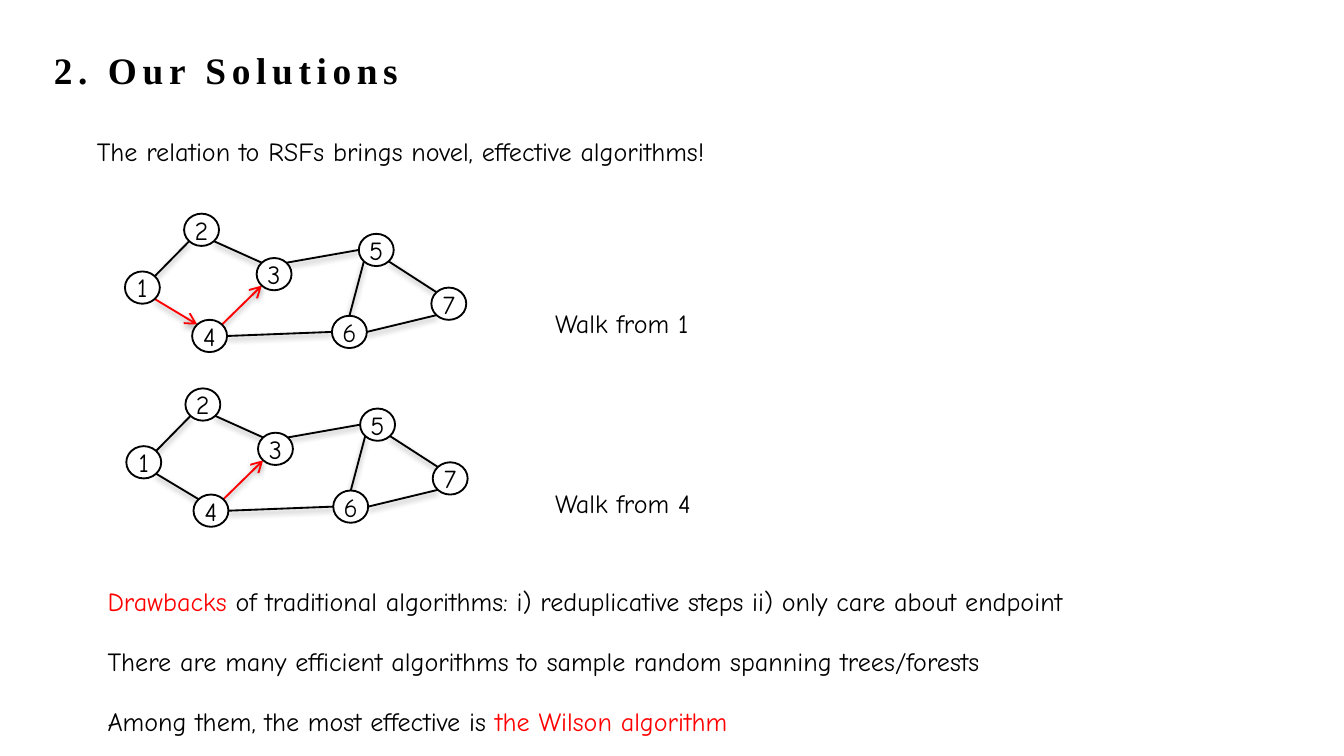
from pptx import Presentation
from pptx.dml.color import RGBColor
from pptx.enum.shapes import MSO_CONNECTOR, MSO_SHAPE
from pptx.enum.text import MSO_ANCHOR, MSO_AUTO_SIZE, PP_ALIGN
from pptx.oxml import parse_xml
from pptx.oxml.ns import nsdecls
from pptx.util import Inches, Pt

COLORS = {"black": "000000", "white": "FFFFFF", "red": "FF0000"}
BODY_FONT, TITLE_FONT = "Comic Neue", "Times New Roman"

# Content
TITLE = "2. Our Solutions"
# left, top, width, runs of (text, color)
TEXTS = [
    (0.67, 0.96, 6.08, [("The relation to RSFs brings novel, effective algorithms!", "black")]),
    (4.08, 2.24, 1.39, [("Walk from 1", "black")]),
    (4.08, 3.58, 1.39, [("Walk from 4", "black")]),
    (0.75, 4.31, 8.12, [
        ("Drawbacks", "red"),
        (" of traditional algorithms: i) reduplicative steps ii) only care about endpoint", "black")]),
    (0.75, 4.75, 7.65, [
        ("There are many efficient algorithms to sample random spanning trees/forests", "black")]),
    (0.75, 5.2, 7.65, [
        ("Among them, the most effective is ", "black"), ("the Wilson algorithm", "red")]),
]

# Graph: node label -> left, top; edges join sides of two nodes
NODE_W, NODE_H = 0.26, 0.24
NODES = {
    "2": (1.37, 1.59), "1": (0.93, 2.02), "4": (1.43, 2.38), "3": (1.91, 1.92),
    "6": (2.47, 2.35), "5": (2.67, 1.74), "7": (3.21, 2.14),
}
EDGES = [
    ("2", "SW", "1", "NE"), ("1", "SE", "4", "NW"), ("2", "SE", "3", "NW"),
    ("4", "NE", "3", "SW"), ("3", "NE", "5", "W"), ("5", "SW", "6", "N"),
    ("5", "SE", "7", "NW"), ("4", "E", "6", "W"), ("6", "E", "7", "SW"),
]
# Offset of each graph and the edges walked in it
GRAPHS = [
    ((0, 0), {("1", "4"), ("4", "3")}),
    ((0.01, 1.3), {("4", "3")}),
]


def rgb(name):
    return RGBColor.from_string(COLORS[name])


def style_run(r, color, font=BODY_FONT, size=14):
    r.font.name = font
    r.font.size = Pt(size)
    r.font.color.rgb = rgb(color)


def set_insets(tf, inset):
    tf.margin_left = tf.margin_right = tf.margin_top = tf.margin_bottom = Inches(inset)


def node_site(label, side, offset):
    """Point on a node's outline at a compass side."""
    left, top = NODES[label]
    reach = 0.71 if len(side) == 2 else 1
    dx = ("E" in side) - ("W" in side)
    dy = ("S" in side) - ("N" in side)
    return (Inches(left + offset[0] + NODE_W / 2 * (1 + reach * dx)),
            Inches(top + offset[1] + NODE_H / 2 * (1 + reach * dy)))


def add_edge(group, start, end, walked):
    line = group.shapes.add_connector(MSO_CONNECTOR.STRAIGHT, *start, *end)
    line.line.color.rgb = rgb("red" if walked else "black")
    line.line.width = Pt(1)
    if walked:
        line.line._get_or_add_ln().append(
            parse_xml(f'<a:tailEnd {nsdecls("a")} type="arrow"/>'))
    line._element.spPr.append(parse_xml(
        f'<a:effectLst {nsdecls("a")}>'
        f'<a:outerShdw blurRad="{Pt(3)}" dist="{Pt(1.6)}" dir="5400000" rotWithShape="0">'
        f'<a:srgbClr val="{COLORS["black"]}"><a:alpha val="38000"/></a:srgbClr>'
        '</a:outerShdw></a:effectLst>'))


def add_node(group, label, offset):
    left, top = NODES[label]
    sp = group.shapes.add_shape(
        MSO_SHAPE.OVAL, Inches(left + offset[0]), Inches(top + offset[1]),
        Inches(NODE_W), Inches(NODE_H))
    sp.shadow.inherit = False
    sp.fill.solid()
    sp.fill.fore_color.rgb = rgb("white")
    sp.line.color.rgb = rgb("black")
    sp.line.width = Pt(1)
    tf = sp.text_frame
    tf.text = label
    tf.word_wrap = False
    tf.vertical_anchor = MSO_ANCHOR.MIDDLE
    set_insets(tf, 0)
    p = tf.paragraphs[0]
    p.alignment = PP_ALIGN.CENTER
    style_run(p.runs[0], "black")


prs = Presentation()
# 16:9 slide
prs.slide_width, prs.slide_height = Inches(10), Inches(10 * 9 / 16)
s = prs.slides.add_slide(prs.slide_layouts[5])

# Title
title = s.shapes.title
title.left, title.top, title.width, title.height = map(Inches, (0.35, 0.3, 9.73, 0.44))
tf = title.text_frame
tf.text = TITLE
tf.vertical_anchor = MSO_ANCHOR.TOP
set_insets(tf, 0.05)
p = tf.paragraphs[0]
p.alignment = PP_ALIGN.LEFT
r = p.runs[0]
style_run(r, "black", TITLE_FONT, 20)
r.font.bold = True
r.font._element.set("spc", "300")

# Graphs
for offset, walk in GRAPHS:
    group = s.shapes.add_group_shape()
    for a, a_side, b, b_side in EDGES:
        add_edge(group, node_site(a, a_side, offset), node_site(b, b_side, offset),
                 (a, b) in walk)
    for label in NODES:
        add_node(group, label, offset)

# Text lines
for left, top, width, runs in TEXTS:
    box = s.shapes.add_textbox(Inches(left), Inches(top), Inches(width), Inches(0.34))
    tf = box.text_frame
    tf.word_wrap = True
    tf.auto_size = MSO_AUTO_SIZE.SHAPE_TO_FIT_TEXT
    set_insets(tf, 0.05)
    for text, color in runs:
        r = tf.paragraphs[0].add_run()
        r.text = text
        style_run(r, color)

prs.save("out.pptx")
